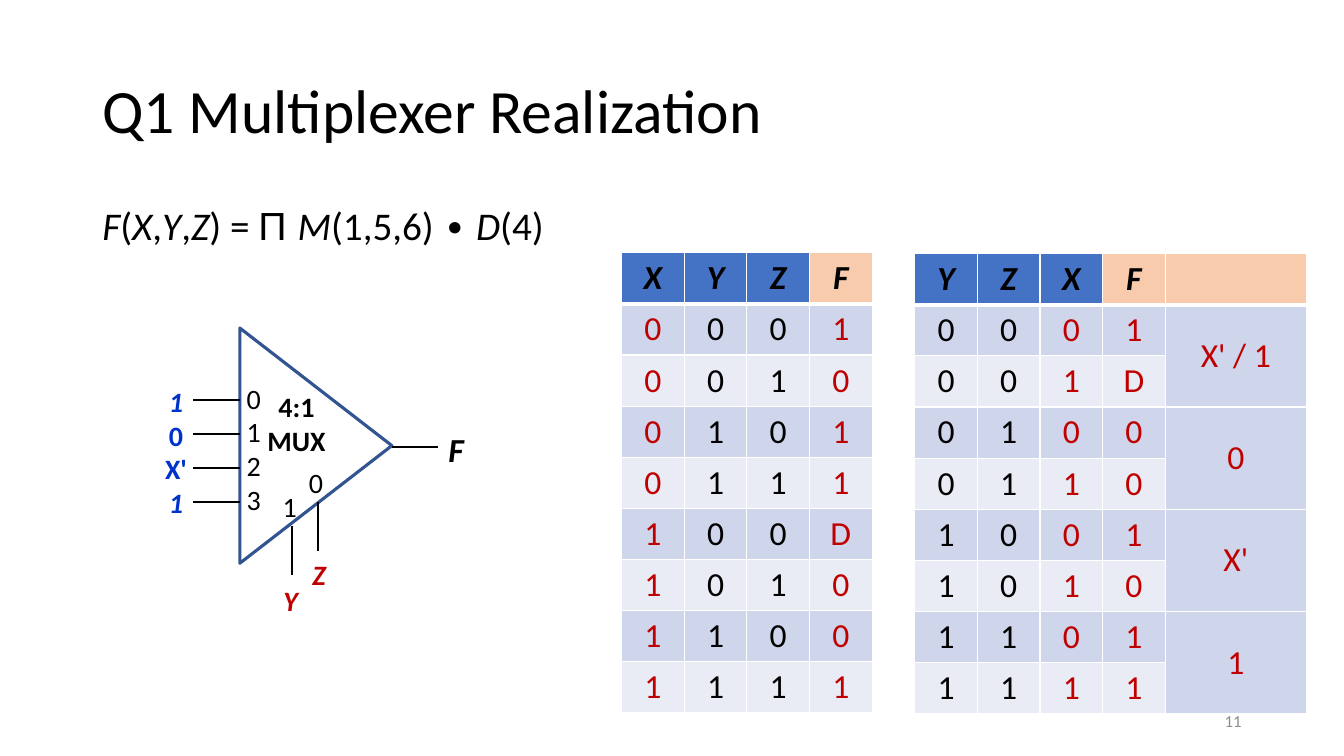
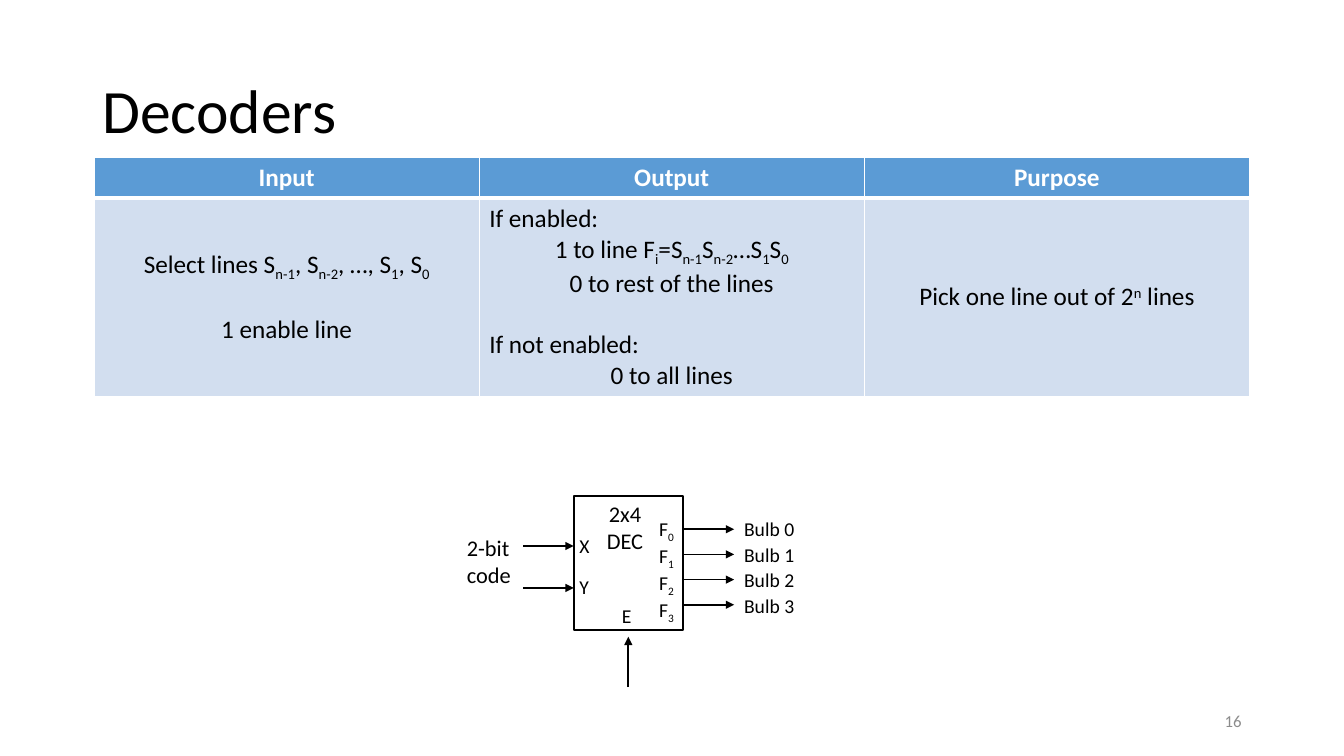
"""Builds two slides on multiplexers and decoders."""
from pptx import Presentation
from pptx.dml.color import RGBColor
from pptx.enum.shapes import MSO_CONNECTOR, MSO_SHAPE
from pptx.enum.text import MSO_ANCHOR, PP_ALIGN
from pptx.oxml import parse_xml
from pptx.oxml.ns import nsdecls
from pptx.util import Inches, Pt

BLACK, WHITE, RED, BLUE, GRAY = "000000", "FFFFFF", "C00000", "0033CC", "8C8C8C"
DARK, PEACH, BANDS = "4472C4", "F8CBAD", ("CFD5EA", "E9EBF5")
SKY, PALE = "5B9BD5", "D2DEEF"
LEFT, MID, RIGHT = PP_ALIGN.LEFT, PP_ALIGN.CENTER, PP_ALIGN.RIGHT
BASE = {"_": "-25000", "^": "30000"}

deck = Presentation()
deck.slide_width, deck.slide_height = Inches(13.333), Inches(7.5)
COL, ROW = deck.slide_width / 160, deck.slide_height / 90


def hue(code):
    """Turn a hex string into a colour."""
    return RGBColor.from_string(code)


def put(frame, text, size=20, color=BLACK, bold=False, align=MID,
        anchor=MSO_ANCHOR.TOP, lead=None, gaps=None, left=()):
    """Write lines of runs split by |, marked / italic, @ Arial, _ sub, ^ super."""
    frame.word_wrap = True
    frame.vertical_anchor = anchor
    for n, line in enumerate(text.split("\n")):
        para = frame.add_paragraph() if n else frame.paragraphs[0]
        para.alignment = LEFT if n in left else align
        para.line_spacing = lead
        para.space_before = Pt((gaps or {}).get(n, 0))
        para.font.size = Pt(size)
        for part in line.split("|"):
            mark = part[:1] if part[:1] in ("/", "@", "_", "^") else ""
            run = para.add_run()
            run.text = part[len(mark):]
            font = run.font
            font.size, font.bold, font.italic = Pt(size), bold, mark == "/"
            font.name = "Arial" if mark == "@" else "Calibri"
            font.color.rgb = hue(color)
            if mark in BASE:
                run._r.get_or_add_rPr().set("baseline", BASE[mark])


mux, dec = [deck.slides.add_slide(deck.slide_layouts[6]) for n in range(2)]

truth = [(f"{n:03b}", f) for n, f in enumerate("1011D001")]
plain = [bits + f for bits, f in truth]
turned = sorted((bits[1:] + bits[0] + f for bits, f in truth), key=lambda row: row[:3])
grids = []
for names, rows in (("XYZF", plain), ("YZXF", turned)):
    grid = [[("/" + name, PEACH if name == "F" else DARK, {"size": 24, "bold": True})
             for name in names]]
    for n, row in enumerate(rows):
        grid.append([(bit, BANDS[n % 2],
                      {"size": 24, "color": RED if name in "XF" else BLACK})
                     for name, bit in zip(names, row)])
    grids.append(grid)
grids[1][0].append(("", PEACH, {"size": 24}))
for n, row in enumerate(grids[1][1:]):
    text = "" if n % 2 else ("X' / 1", "0", "X'", "1")[n // 2]
    row.append((text, BANDS[0], {"size": 24, "color": RED}))

heads = [(name, SKY, {"size": 18, "color": WHITE, "bold": True})
         for name in ("Input", "Output", "Purpose")]
facts = [
    ("Select lines S|_n-1|, S|_n-2|, …, S|_1|, S|_0\n1 enable line", PALE,
     {"size": 18, "gaps": {1: 22}}),
    ("If enabled:\n1 to line F|_i|=S|_n-1|S|_n-2|…S|_1|S|_0\n0 to rest of the lines\n"
     "If not enabled:\n0 to all lines", PALE,
     {"size": 18, "gaps": {3: 22}, "left": (0, 3)}),
    ("Pick one line out of 2|^n| lines", PALE, {"size": 18}),
]

for slide, x, y, wide, tall, grid in (
    (mux, 74, 30.1, [7.46] * 4, [6.08] * 9, grids[0]),
    (mux, 108.9, 30.2, [7.46] * 4 + [16.8], [6.08] * 9, grids[1]),
    (dec, 11.2, 18.7, [45.85] * 3, [4.9, 23.5], [heads, facts]),
):
    table = slide.shapes.add_table(
        len(tall), len(wide), int(x * COL), int(y * ROW),
        int(sum(wide) * COL), int(sum(tall) * ROW)).table
    for col, size in zip(table.columns, wide):
        col.width = int(size * COL)
    for row, size in zip(table.rows, tall):
        row.height = int(size * ROW)
    for r, row in enumerate(grid):
        for c, (text, fill, style) in enumerate(row):
            cell = table.cell(r, c)
            cell.vertical_anchor = MSO_ANCHOR.MIDDLE
            cell.fill.solid()
            cell.fill.fore_color.rgb = hue(fill)
            put(cell.text_frame, text, **style)
            props = cell._tc.get_or_add_tcPr()
            for n, side in enumerate("LRTB"):
                thick = 3 if (r, side) in ((0, "B"), (1, "T")) else 1
                props.insert(n, parse_xml(
                    f'<a:ln{side} {nsdecls("a")} w="{Pt(thick)}"><a:solidFill>'
                    f'<a:srgbClr val="{WHITE}"/></a:solidFill></a:ln{side}>'))
    if len(wide) == 5:
        for r in range(1, 9, 2):
            table.cell(r, 4).merge(table.cell(r + 1, 4))

for slide, kind, box, turn, color, thick in (
    (mux, MSO_SHAPE.FLOWCHART_EXTRACT, (23.6, 44, 28, 18.1), 90, "325491", 2.25),
    (dec, MSO_SHAPE.RECTANGLE, (68.3, 59, 13, 16), 0, BLACK, 1.5),
):
    x, y, w, h = box
    shape = slide.shapes.add_shape(
        kind, int(x * COL), int(y * ROW), int(w * COL), int(h * ROW))
    shape.rotation = turn
    shape.shadow.inherit = False
    shape.fill.background()
    shape.line.color.rgb = hue(color)
    shape.line.width = Pt(thick)

wires = [(23, 47.6 + 4.04 * n, 28.6, 47.6 + 4.04 * n) for n in range(4)]
wires += [(34.8, 62.6, 34.8, 68.4), (37.9, 59.8, 37.9, 65.6), (46.7, 53.2, 52.2, 53.2)]
arrows = [(62.3, y, 68.3, y) for y in (65, 70)]
arrows += [(81.4, 63 + 3 * n, 87.4, 63 + 3 * n) for n in range(4)]
arrows += [(74.8, 81.8, 74.8, 75.8)]
for slide, lines, thick in ((mux, wires, 1.5), (dec, arrows, 1.25)):
    for x, y, right, end in lines:
        wire = slide.shapes.add_connector(
            MSO_CONNECTOR.STRAIGHT, int(x * COL), int(y * ROW),
            int(right * COL), int(end * ROW))
        wire.line.color.rgb = hue(BLACK)
        wire.line.width = Pt(thick)
        if slide is dec:
            wire.line._get_or_add_ln().append(
                parse_xml(f'<a:tailEnd {nsdecls("a")} type="triangle"/>'))
        wire._element.spPr.append(parse_xml(f'<a:effectLst {nsdecls("a")}/>'))

title = {"size": 44, "align": LEFT, "anchor": MSO_ANCHOR.MIDDLE, "lead": 0.9}
foot = {"size": 12, "color": GRAY, "align": RIGHT, "anchor": MSO_ANCHOR.MIDDLE}
pin = {"size": 14, "align": LEFT}
pick = {"color": RED, "bold": True}
notes = []
for slide, name, page in ((mux, "Q1 Multiplexer Realization", "11"),
                          (dec, "Decoders", "16")):
    notes += [(slide, (11, 4.8, 138, 17.4), name, title),
              (slide, (113, 83.4, 36, 4.8), page, foot)]
notes += [
    (mux, (11, 24, 138, 7), "/F|(|/X|,|/Y|,|/Z|) = |@Π |/M|(1,5,6) ∙ |/D|(4)",
     {"size": 28, "align": LEFT, "lead": 0.9}),
    (mux, (26.8, 44.8, 6.8, 17.4), "0\n1\n2\n3", {}),
    (mux, (28.3, 45.8, 14, 9.2), "4:1\nMUX", {"bold": True}),
    (mux, (34.2, 54.8, 6.8, 5.3), "0", {}),
    (mux, (31.1, 57.7, 6.8, 5.3), "1", {}),
    (mux, (50.9, 50.5, 6.8, 6), "/F", {"size": 24, "bold": True}),
    (mux, (31.2, 68.9, 6.8, 5.3), "/Y", pick),
    (mux, (34.6, 65.8, 6.8, 5.3), "/Z", pick),
    (mux, (14.9, 45.2, 12.1, 17.4), "/1\n0\nX'\n/1", {"color": BLUE, "bold": True}),
    (dec, (69.4, 59, 10, 7.7), "2x4\nDEC", {"size": 16}),
    (dec, (54.4, 63, 9, 7.7), "2-bit code", {"size": 16, "align": LEFT}),
    (dec, (67.8, 63, 5, 8.9), "X\nY", {**pin, "gaps": {1: 12}}),
    (dec, (77.3, 61, 5, 12.5), "F|_0\nF|_1\nF|_2\nF|_3", pin),
    (dec, (87.4, 61, 14, 13.3), "Bulb 0\nBulb 1\nBulb 2\nBulb 3",
     {**pin, "gaps": {1: 1.3, 2: 1.3, 3: 1.3}}),
    (dec, (72.1, 71.3, 5, 4), "E", {"size": 14}),
]
for slide, (x, y, w, h), text, style in notes:
    box = slide.shapes.add_textbox(
        int(x * COL), int(y * ROW), int(w * COL), int(h * ROW))
    put(box.text_frame, text, **style)

deck.save("out.pptx")
